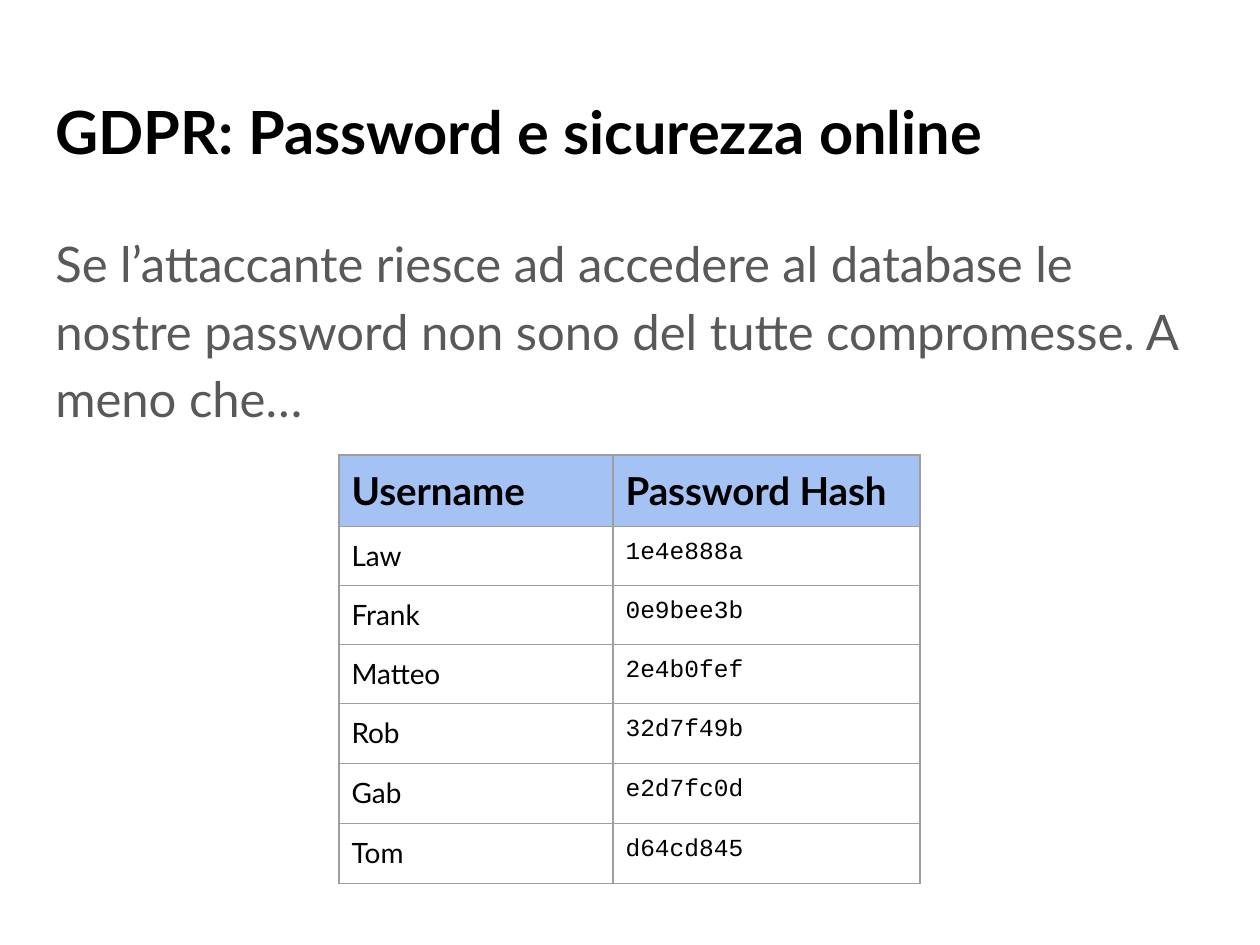
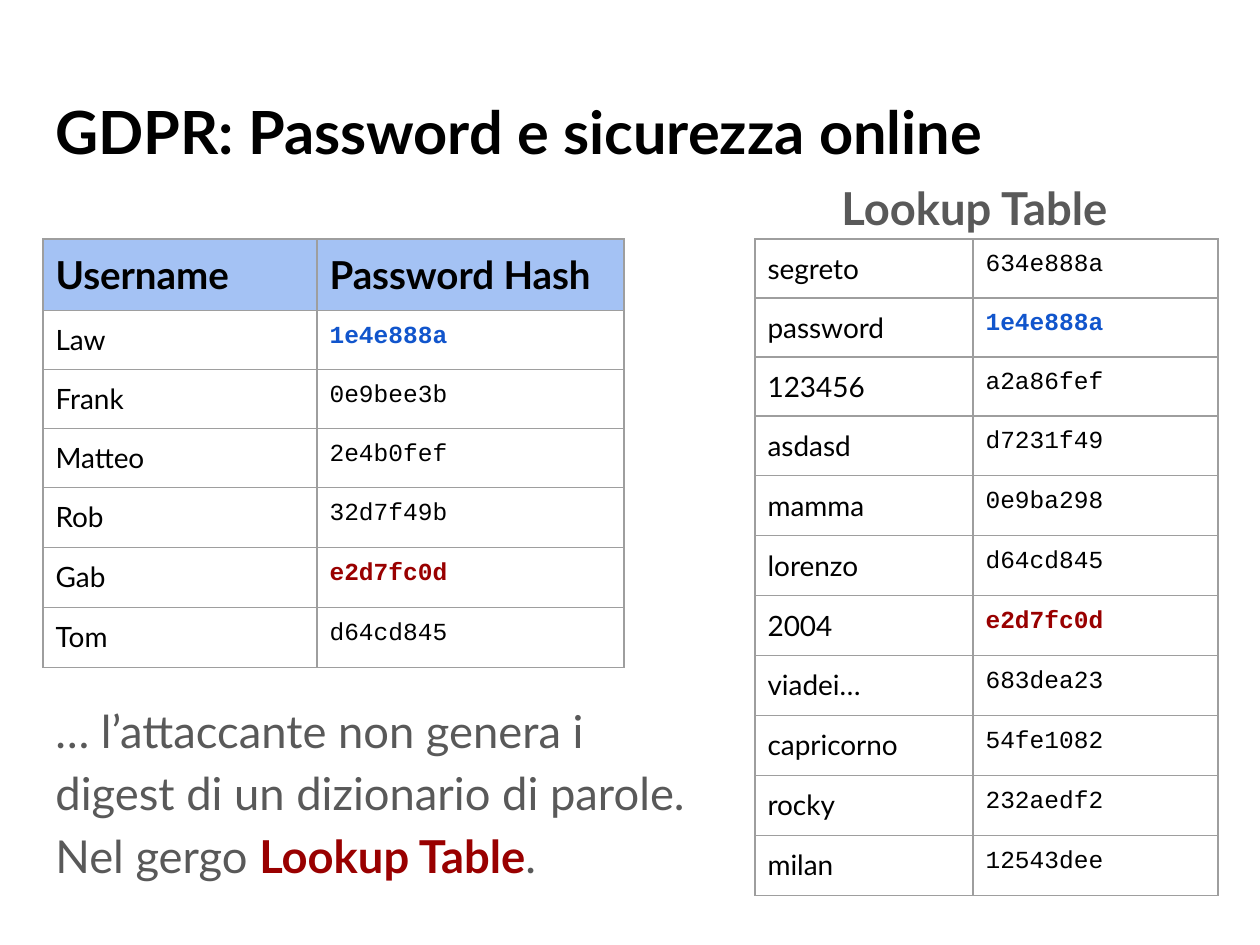
from lxml.etree import SubElement
from pptx import Presentation
from pptx.dml.color import RGBColor
from pptx.enum.text import PP_ALIGN
from pptx.oxml.ns import qn
from pptx.util import Emu, Pt

PX_PER_INCH = 126
BLACK = RGBColor(0x00, 0x00, 0x00)
GREY = RGBColor(0x59, 0x59, 0x59)
BLUE = RGBColor(0x11, 0x55, 0xCC)
RED = RGBColor(0x99, 0x00, 0x00)
HEADER_BLUE = RGBColor(0xA4, 0xC2, 0xF4)
GRID_GREY = RGBColor(0x9E, 0x9E, 0x9E)
TEXT_FONT, HASH_FONT = "Lato", "Courier New"
INSET = 0.1

TITLE = "GDPR: Password e sicurezza online"
LEFT, TITLE_WIDTH = 43, 1174
TABLES_TOP = 239
USER_COLUMNS, LOOKUP_COLUMNS = (274, 307), (218, 245)
HEADER_HEIGHT = 71

USER_HEADER = ("Username", "Password Hash")
USERS = [
    ("Law", "1e4e888a"),
    ("Frank", "0e9bee3b"),
    ("Matteo", "2e4b0fef"),
    ("Rob", "32d7f49b"),
    ("Gab", "e2d7fc0d"),
    ("Tom", "d64cd845"),
]
LOOKUP = [
    ("segreto", "634e888a"),
    ("password", "1e4e888a"),
    ("123456", "a2a86fef"),
    ("asdasd", "d7231f49"),
    ("mamma", "0e9ba298"),
    ("lorenzo", "d64cd845"),
    ("2004", "e2d7fc0d"),
    ("viadei…", "683dea23"),
    ("capricorno", "54fe1082"),
    ("rocky", "232aedf2"),
    ("milan", "12543dee"),
]
CRACKED = {"1e4e888a": BLUE, "e2d7fc0d": RED}


def px(length):
    return Emu(round(length * 914400 / PX_PER_INCH))


def style(font, size, color, bold=False, name=TEXT_FONT):
    font.name, font.size, font.bold = name, Pt(size), bold
    font.color.rgb = color


def set_insets(holder):
    """Give a text frame or a table cell the shared margins."""
    margin = px(INSET * PX_PER_INCH)
    holder.margin_left = holder.margin_right = margin
    holder.margin_top = holder.margin_bottom = margin


def add_text(slide, left, top, width, height):
    """Add an empty wrapping text box and return its paragraph."""
    frame = slide.shapes.add_textbox(
        px(left), px(top), px(width), px(height)).text_frame
    frame.word_wrap = True
    set_insets(frame)
    return frame.paragraphs[0]


def add_title(slide):
    title = add_text(slide, LEFT, 82, TITLE_WIDTH, 105)
    title.text = TITLE
    style(title.runs[0].font, 34, BLACK, bold=True)


def add_body(slide, box, size, pieces, align=PP_ALIGN.LEFT):
    """Add a paragraph made of (text, colour, bold) pieces."""
    body = add_text(slide, *box)
    body.alignment = align
    body.line_spacing = 1.15
    body.space_after = Pt(12)
    for text, color, bold in pieces:
        run = body.add_run()
        run.text = text
        style(run.font, size, color, bold)


def add_borders(cell):
    properties = cell._tc.get_or_add_tcPr()
    for side in ("lnL", "lnR", "lnT", "lnB"):
        line = SubElement(properties, qn(f"a:{side}"), w=str(Pt(0.75)))
        fill = SubElement(line, qn("a:solidFill"))
        SubElement(fill, qn("a:srgbClr"), val=str(GRID_GREY))


def fill_cell(cell, text, fill=None, **font):
    cell.text = text
    set_insets(cell)
    style(cell.text_frame.paragraphs[0].runs[0].font, **font)
    add_borders(cell)
    if fill is None:
        cell.fill.background()
    else:
        cell.fill.solid()
        cell.fill.fore_color.rgb = fill


def add_hash_table(slide, left, top, widths, entries, header=None, marks=None):
    """Add a word and hash table; marks maps a hash to its highlight colour."""
    marks = marks or {}
    heights = [59 if i < 3 else 60 for i in range(len(entries))]
    if header:
        heights.insert(0, HEADER_HEIGHT)
    table = slide.shapes.add_table(
        len(heights), len(widths), px(left), px(top),
        px(sum(widths)), px(sum(heights))).table
    table.first_row = table.horz_banding = False
    for column, width in zip(table.columns, widths):
        column.width = px(width)
    for row, height in zip(table.rows, heights):
        row.height = px(height)

    if header:
        for column, heading in enumerate(header):
            fill_cell(table.cell(0, column), heading, HEADER_BLUE,
                      size=22, color=BLACK, bold=True)
    for row, (word, digest) in enumerate(entries, start=1 if header else 0):
        fill_cell(table.cell(row, 0), word, size=16, color=BLACK)
        fill_cell(table.cell(row, 1), digest, size=14, name=HASH_FONT,
                  color=marks.get(digest, BLACK), bold=digest in marks)


def build_breach_slide(slide):
    add_title(slide)
    add_body(slide, (LEFT, 212, TITLE_WIDTH, 243), 28, [
        ("Se l’attaccante riesce ad accedere al database le nostre password "
         "non sono del tutte compromesse. A meno che…", GREY, False)])
    add_hash_table(slide, 339, 455, USER_COLUMNS, USERS, USER_HEADER)


def build_lookup_slide(slide):
    add_title(slide)
    add_hash_table(slide, LEFT, TABLES_TOP, USER_COLUMNS, USERS,
                   USER_HEADER, CRACKED)
    add_hash_table(slide, 755, TABLES_TOP, LOOKUP_COLUMNS, LOOKUP,
                   marks=CRACKED)
    add_body(slide, (LEFT, 682, 678, 214), 25.9, [
        ("… l’attaccante non genera i digest di un dizionario di parole. "
         "Nel gergo ", GREY, False),
        ("Lookup Table", RED, True),
        (".", GREY, False)])
    add_body(slide, (810, 159, 329, 81), 25.9,
             [("Lookup Table", GREY, True)], PP_ALIGN.CENTER)


def main():
    deck = Presentation()
    deck.slide_width, deck.slide_height = px(1260), px(945)
    blank = deck.slide_layouts[6]
    for build in (build_breach_slide, build_lookup_slide):
        build(deck.slides.add_slide(blank))
    deck.save("out.pptx")


if __name__ == "__main__":
    main()
